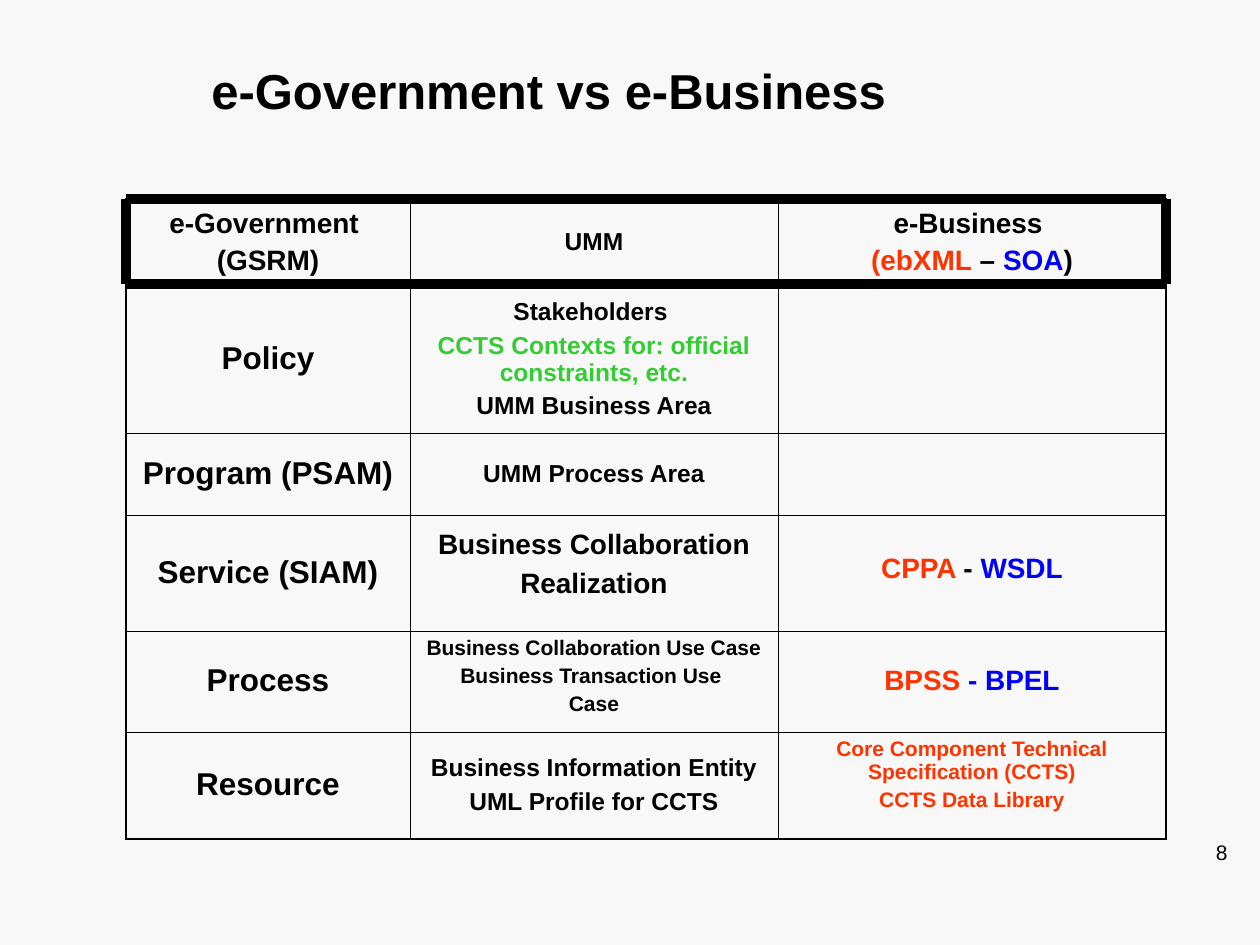
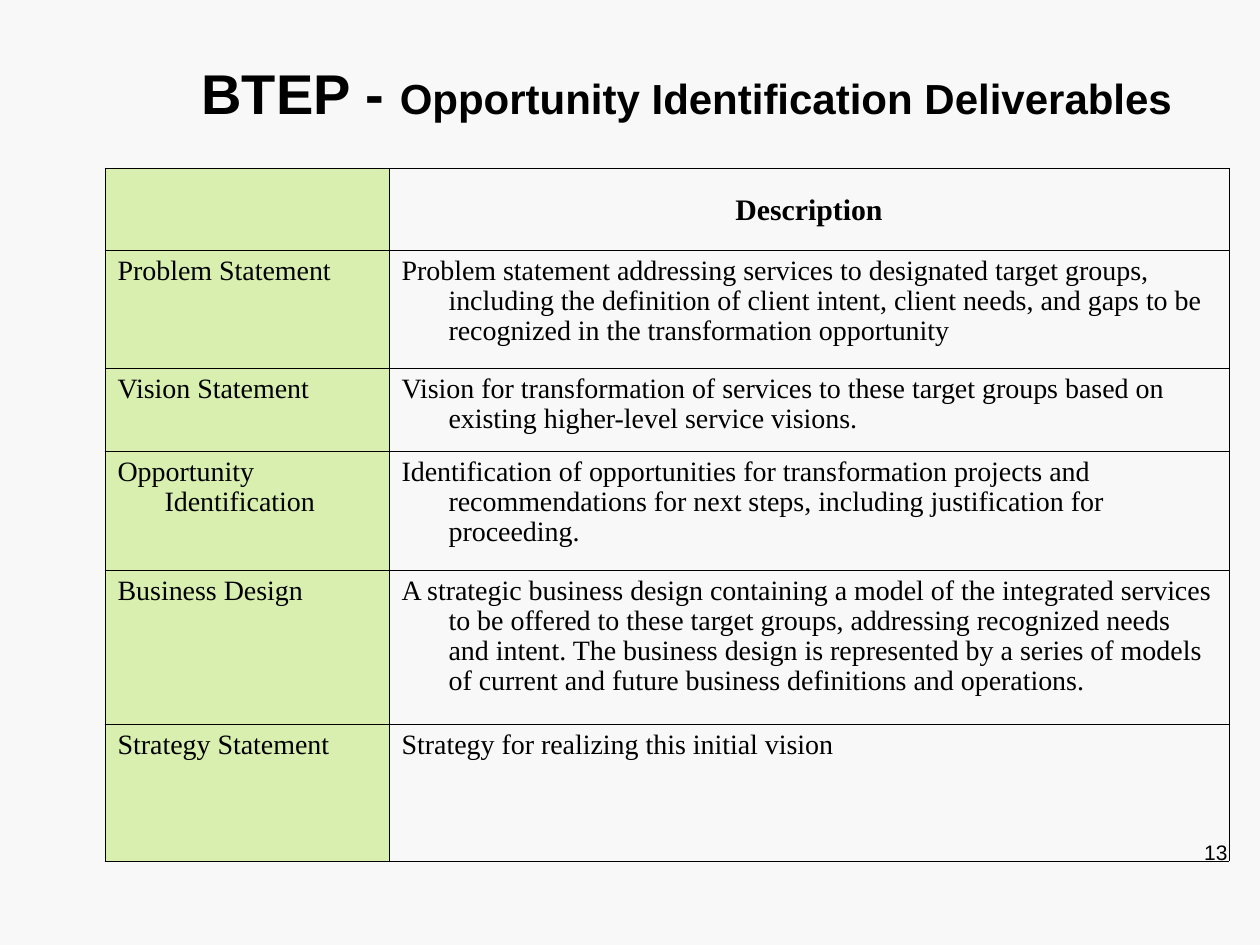
from dataclasses import dataclass

from lxml import etree
from pptx import Presentation
from pptx.dml.color import RGBColor
from pptx.enum.shapes import MSO_CONNECTOR
from pptx.enum.text import MSO_ANCHOR, PP_ALIGN
from pptx.oxml.ns import qn
from pptx.util import Emu, Pt

PX = 914400 / 126
LEFT, CENTER, RIGHT = PP_ALIGN.LEFT, PP_ALIGN.CENTER, PP_ALIGN.RIGHT
TOP, MIDDLE = MSO_ANCHOR.TOP, MSO_ANCHOR.MIDDLE
STRAIGHT = MSO_CONNECTOR.STRAIGHT


@dataclass(frozen=True)
class Theme:
    background: str = "F8F8F8"
    ink: str = "000000"
    red: str = "FF3300"
    blue: str = "0000FF"
    green: str = "33CC33"
    label_fill: str = "D8EFAF"
    sans: str = "Arial"
    serif: str = "Times New Roman"
    title: int = 28
    title_large: int = 32
    title_small: int = 24
    row_label: int = 18
    column_label: int = 17
    body: int = 16
    detail: int = 14
    small: int = 12
    thin: float = 0.45
    edge: float = 1.08
    heavy: int = 6


THEME = Theme()


def px(length):
    return Emu(round(length * PX))


def write_text(text_frame, paragraphs, *, size, font=THEME.sans, bold=False,
               color=THEME.ink, align=LEFT, anchor=TOP, line_spacing=0.97,
               gap=0, hanging=0):
    """Fill a frame; a paragraph is a string or a list of (text, format) runs."""
    text_frame.word_wrap = True
    text_frame.vertical_anchor = anchor
    for index, runs in enumerate(paragraphs):
        paragraph = text_frame.add_paragraph() if index else text_frame.paragraphs[0]
        paragraph.alignment = align
        paragraph.line_spacing = line_spacing
        if index:
            paragraph.space_before = Pt(gap)
        if hanging:
            properties = paragraph._p.get_or_add_pPr()
            properties.set("marL", str(px(hanging)))
            properties.set("indent", str(-px(hanging)))
        for text, changes in [(runs, {})] if isinstance(runs, str) else runs:
            run = paragraph.add_run()
            run.text = text
            run.font.name = font
            run.font.bold = bold
            run.font.size = Pt(changes.get("size", size))
            run.font.color.rgb = RGBColor.from_string(changes.get("color", color))


def add_text(slide, box, paragraphs, **text_format):
    shape = slide.shapes.add_textbox(*map(px, box))
    write_text(shape.text_frame, paragraphs, **text_format)


def add_slide(presentation, title, title_box, number):
    slide = presentation.slides.add_slide(presentation.slide_layouts[6])
    fill = slide.background.fill
    fill.solid()
    fill.fore_color.rgb = RGBColor.from_string(THEME.background)
    add_text(slide, title_box, [title], size=THEME.title, bold=True, anchor=MIDDLE)
    return slide, number


def add_slide_number(slide, number):
    add_text(slide, (978, 835, 262, 40), [str(number)], size=THEME.small, align=RIGHT)


def set_border(cell, side, width):
    properties = cell._tc.get_or_add_tcPr()
    line = etree.SubElement(properties, qn(f"a:ln{side}"), w=str(Pt(width)))
    fill = etree.SubElement(line, qn("a:solidFill"))
    etree.SubElement(fill, qn("a:srgbClr"), val=THEME.ink)


def add_grid(slide, left, top, widths, heights, edge=THEME.thin):
    """Add an unfilled table with thin inner lines and the given outer line."""
    frame = slide.shapes.add_table(len(heights), len(widths), px(left), px(top),
                                   px(sum(widths)), px(sum(heights)))
    table = frame.table
    table.first_row = table.horz_banding = False
    for column, width in zip(table.columns, widths):
        column.width = px(width)
    for row, height in zip(table.rows, heights):
        row.height = px(height)
    last_row, last_column = len(heights) - 1, len(widths) - 1
    for row in range(len(heights)):
        for column in range(len(widths)):
            cell = table.cell(row, column)
            outer = {"L": column == 0, "R": column == last_column,
                     "T": row == 0, "B": row == last_row}
            for side, is_outer in outer.items():
                set_border(cell, side, edge if is_outer else THEME.thin)
            cell.fill.background()
    return table


def write_cell(cell, paragraphs, lift=0, **text_format):
    """Write a cell; lift raises text that is anchored in the middle."""
    cell.margin_bottom = px(6 + 2 * lift)
    anchor = text_format.pop("anchor", TOP)
    write_text(cell.text_frame, paragraphs, **text_format)
    cell.vertical_anchor = anchor


def add_heavy_line(slide, start, end):
    line = slide.shapes.add_connector(STRAIGHT, *map(px, start + end))
    line.line.color.rgb = RGBColor.from_string(THEME.ink)
    line.line.width = Pt(THEME.heavy)
    etree.SubElement(line._element.spPr, qn("a:effectLst"))


def add_header_frame(slide, left, top, right, bottom):
    corners = [(left, top), (left, bottom), (right, bottom), (right, top)]
    for start, end in zip(corners, corners[1:] + corners[:1]):
        add_heavy_line(slide, start, end)


def build_comparison(presentation):
    slide, number = add_slide(presentation, "e-Government vs e-Business",
                              (199, 42, 966, 101), 8)
    left, top = 126, 199
    widths, heights = (284, 368, 388), (87, 147, 82, 116, 101, 107)
    table = add_grid(slide, left, top, widths, heights, THEME.edge)
    red, blue, green = ({"color": color} for color in
                        (THEME.red, THEME.blue, THEME.green))

    government = [["e-Government ", "(GSRM)"]] + [
        [label] for label in ("Policy", "Program (PSAM)", "Service (SIAM)",
                              "Process", "Resource")]
    modelling = [
        (["UMM"], {}),
        (["Stakeholders ",
          [("CCTS Contexts for: official constraints, etc.", green)],
          "UMM Business Area"], {}),
        (["UMM Process Area"], {}),
        (["Business Collaboration Realization"],
         {"size": THEME.body, "line_spacing": 1.25, "anchor": TOP}),
        (["Business Collaboration Use Case", "Business Transaction Use ", "Case"],
         {"size": THEME.small, "gap": 3, "anchor": TOP}),
        (["Business Information Entity", "UML Profile for CCTS"], {}),
    ]
    business = {
        0: (["e-Business ",
             [("(ebXML", red), (" – ", {}), ("SOA", blue), (")", {})]], {}),
        3: ([[("CPPA ", red), ("- ", {}), ("WSDL", blue)]], {"lift": 4}),
        4: ([[("BPSS ", red), ("- BPEL", blue)]], {}),
        5: (["Core Component Technical Specification (CCTS)", "CCTS Data Library"],
            {"size": THEME.small, "gap": 3, "color": THEME.red, "anchor": TOP}),
    }
    common = {"bold": True, "align": CENTER, "anchor": MIDDLE, "gap": 4}
    for row, paragraphs in enumerate(government):
        size = THEME.row_label if row else THEME.body
        write_cell(table.cell(row, 0), paragraphs, **common, size=size)
    for row, (paragraphs, changes) in enumerate(modelling):
        write_cell(table.cell(row, 1), paragraphs,
                   **{**common, "size": THEME.detail, **changes})
    for row, (paragraphs, changes) in business.items():
        write_cell(table.cell(row, 2), paragraphs,
                   **{**common, "size": THEME.body, **changes})

    add_header_frame(slide, left, top, left + sum(widths), 284)
    add_slide_number(slide, number)


def build_deliverables(presentation):
    title = [("BTEP - ", {"size": THEME.title_large}),
             ("Opportunity Identification Deliverables", {"size": THEME.title_small})]
    slide, number = add_slide(presentation, title, (189, 53, 1029, 84), 13)
    table = add_grid(slide, 105, 168, (284, 840), (82, 118, 83, 119, 154, 137))
    deliverables = [
        ("Problem Statement",
         "Problem statement addressing services to designated target groups, "
         "including the definition of client intent, client needs, and gaps to be "
         "recognized in the transformation opportunity"),
        ("Vision Statement",
         "Vision for transformation of services to these target groups based on "
         "existing higher-level service visions."),
        ("Opportunity Identification",
         "Identification of opportunities for transformation projects and "
         "recommendations for next steps, including justification for proceeding."),
        ("Business Design",
         "A strategic business design containing a model of the integrated services "
         "to be offered to these target groups, addressing recognized needs and "
         "intent. The business design is represented by a series of models of "
         "current and future business definitions and operations."),
        ("Strategy Statement", "Strategy for realizing this initial vision"),
    ]
    write_cell(table.cell(0, 1), ["Description"], size=THEME.column_label,
               font=THEME.serif, bold=True, align=CENTER, anchor=MIDDLE, lift=-2)
    for row, texts in enumerate(deliverables, start=1):
        for column, text in enumerate(texts):
            write_cell(table.cell(row, column), [text], size=THEME.body,
                       font=THEME.serif, hanging=47)
    for row in range(len(table.rows)):
        fill = table.cell(row, 0).fill
        fill.solid()
        fill.fore_color.rgb = RGBColor.from_string(THEME.label_fill)
    add_slide_number(slide, number)


def main():
    presentation = Presentation()
    presentation.slide_width, presentation.slide_height = px(1260), px(945)
    build_comparison(presentation)
    build_deliverables(presentation)
    presentation.save("out.pptx")


if __name__ == "__main__":
    main()
